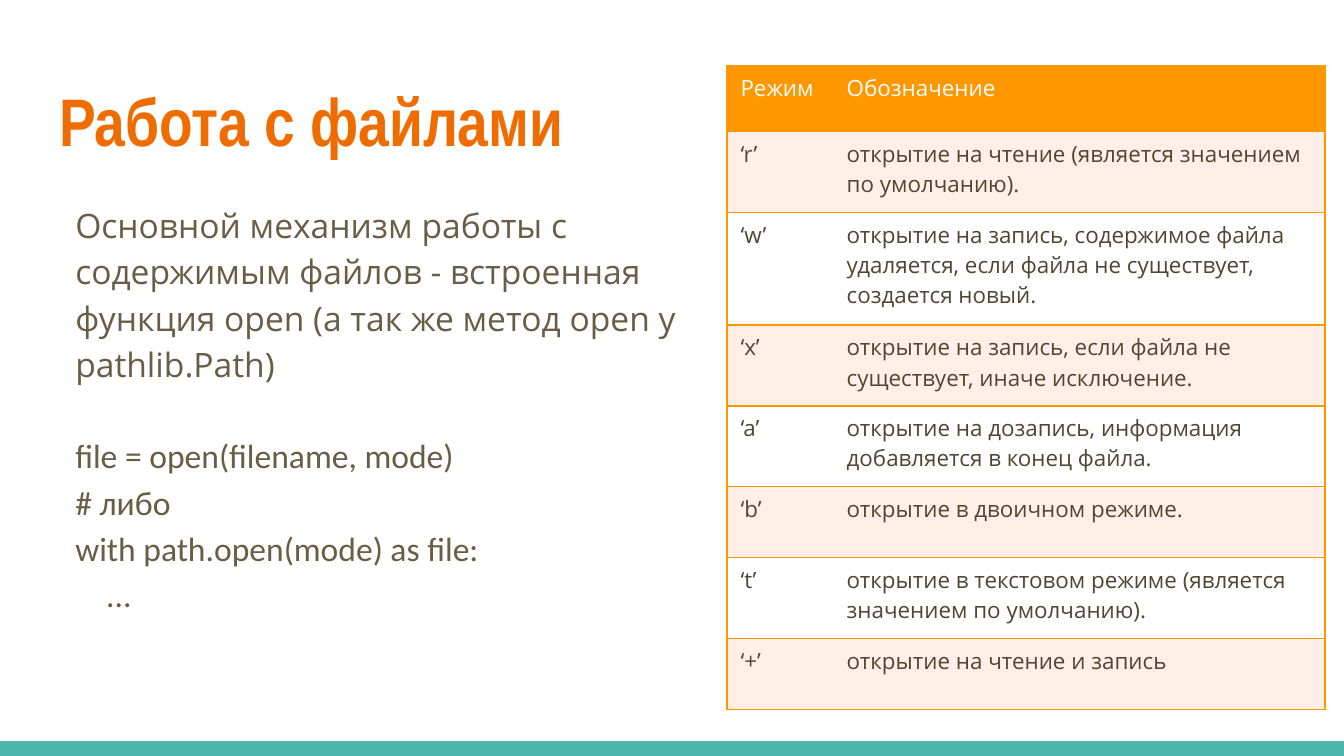
from dataclasses import dataclass

from lxml import etree
from pptx import Presentation
from pptx.dml.color import RGBColor
from pptx.enum.shapes import MSO_SHAPE
from pptx.enum.text import MSO_ANCHOR, MSO_AUTO_SIZE, PP_ALIGN
from pptx.oxml.ns import qn
from pptx.util import Inches, Pt

RECTANGLE = MSO_SHAPE.RECTANGLE
TOP = MSO_ANCHOR.TOP
LEFT = PP_ALIGN.LEFT
FIXED_SIZE = MSO_AUTO_SIZE.NONE


@dataclass(frozen=True)
class Theme:
    title_font: str = "Arial Narrow"
    text_font: str = "Open Sans"
    code_font: str = "Calibri"
    title_size: int = 36
    body_size: int = 18
    table_size: int = 12
    title_color: str = "EF6C00"
    body_color: str = "695D46"
    cell_color: str = "4F4634"
    accent: str = "FF9800"
    band: str = "FFEFE7"
    white: str = "FFFFFF"
    footer: str = "4DB6AC"


THEME = Theme()
NO_TABLE_STYLE = "{2D5ABB26-0587-4C30-8999-92F81FD0307C}"
SLIDE_WIDTH = Inches(10)
SLIDE_HEIGHT = SLIDE_WIDTH * 9 // 16
FOOTER_HEIGHT = Inches(0.11)

TITLE = "Работа с файлами"
INTRO = ("Основной механизм работы с содержимым файлов - встроенная функция open "
         "(а так же метод open у pathlib.Path)")
# (text, left margin in inches, space before in points)
CODE = [
    ("file = open(filename, mode)", 0.12, 24),
    ("# либо", 0.12, 0),
    ("with path.open(mode) as file:", 0.12, 0),
    ("...", 0.35, 0),
]
HEADER = ("Режим", "Обозначение")
# (mode, meaning, row height in inches)
MODES = [
    ("‘r’", "открытие на чтение (является значением по умолчанию).", 0.6),
    ("‘w’", "открытие на запись, содержимое файла удаляется, если файла не существует, "
            "создается новый.", 0.84),
    ("‘x’", "открытие на запись, если файла не существует, иначе исключение.", 0.6),
    ("‘a’", "открытие на дозапись, информация добавляется в конец файла.", 0.6),
    ("‘b’", "открытие в двоичном режиме.", 0.53),
    ("‘t’", "открытие в текстовом режиме (является значением по умолчанию).", 0.6),
    ("‘+’", "открытие на чтение и запись", 0.53),
]
HEADER_HEIGHT = 0.49
COLUMN_WIDTHS = (0.79, 3.66)


def write(para, text, *, font, size, color, bold=False, spacing=1.0, before=0, margin=0):
    para.alignment = LEFT
    para.line_spacing = spacing
    para.space_before = Pt(before)
    para.space_after = Pt(0)
    properties = para._p.get_or_add_pPr()
    properties.set("marL", str(Inches(margin)))
    properties.set("indent", "0")
    etree.SubElement(properties, qn("a:buNone"))
    span = para.add_run()
    span.text = text
    span.font.name = font
    span.font.size = Pt(size)
    span.font.bold = bold
    span.font.color.rgb = RGBColor.from_string(color)


def place(box, left, top, width, height):
    box.left, box.top = Inches(left), Inches(top)
    box.width, box.height = Inches(width), Inches(height)
    frame = box.text_frame
    frame.word_wrap = True
    frame.auto_size = FIXED_SIZE
    frame.vertical_anchor = TOP
    frame.margin_left = frame.margin_right = Inches(0.1)
    frame.margin_top = frame.margin_bottom = Inches(0.1)
    return frame


def draw_borders(cell, sides):
    """Draw an accent line on the given sides (L, R, T, B) and clear the others."""
    properties = cell._tc.get_or_add_tcPr()
    for side in "LRTB":
        line = etree.SubElement(properties, qn(f"a:ln{side}"), w=str(Pt(1)))
        if side in sides:
            fill = etree.SubElement(line, qn("a:solidFill"))
            etree.SubElement(fill, qn("a:srgbClr"), val=THEME.accent)
        else:
            etree.SubElement(line, qn("a:noFill"))


def add_modes_table(slide):
    rows = [(*HEADER, HEADER_HEIGHT), *MODES]
    heights = [row[-1] for row in rows]
    frame = slide.shapes.add_table(
        len(rows), len(HEADER), Inches(5.41), Inches(0.49),
        Inches(sum(COLUMN_WIDTHS)), Inches(sum(heights)))
    table = frame.table
    table._tbl.tblPr.find(qn("a:tableStyleId")).text = NO_TABLE_STYLE
    table.horz_banding = False
    for column, width in zip(table.columns, COLUMN_WIDTHS):
        column.width = Inches(width)
    for index, (mode, meaning, height) in enumerate(rows):
        table.rows[index].height = Inches(height)
        if index == 0:
            fill, color = THEME.accent, THEME.white
        else:
            fill, color = (THEME.band if index % 2 else THEME.white), THEME.cell_color
        for cell, text, sides in zip(table.rows[index].cells, (mode, meaning), ("LTB", "RTB")):
            draw_borders(cell, sides)
            cell.fill.solid()
            cell.fill.fore_color.rgb = RGBColor.from_string(fill)
            write(cell.text_frame.paragraphs[0], text, font=THEME.text_font,
                  size=THEME.table_size, color=color)


def main():
    deck = Presentation()
    deck.slide_width, deck.slide_height = SLIDE_WIDTH, SLIDE_HEIGHT
    slide = deck.slides.add_slide(deck.slide_layouts[1])

    footer = slide.shapes.add_shape(
        RECTANGLE, 0, SLIDE_HEIGHT - FOOTER_HEIGHT, SLIDE_WIDTH, FOOTER_HEIGHT)
    footer.shadow.inherit = False
    footer.fill.solid()
    footer.fill.fore_color.rgb = RGBColor.from_string(THEME.footer)
    footer.line.fill.background()

    title = place(slide.shapes.title, 0.34, 0.49, 9.32, 0.77)
    write(title.paragraphs[0], TITLE, font=THEME.title_font, size=THEME.title_size,
          color=THEME.title_color, bold=True)

    body = place(slide.placeholders[1], 0.34, 1.38, 4.87, 3.61)
    body_format = {"size": THEME.body_size, "color": THEME.body_color, "spacing": 1.15}
    write(body.paragraphs[0], INTRO, font=THEME.text_font, margin=0.12, **body_format)
    for text, margin, before in CODE:
        write(body.add_paragraph(), text, font=THEME.code_font, margin=margin,
              before=before, **body_format)

    add_modes_table(slide)
    deck.save("out.pptx")


if __name__ == "__main__":
    main()
